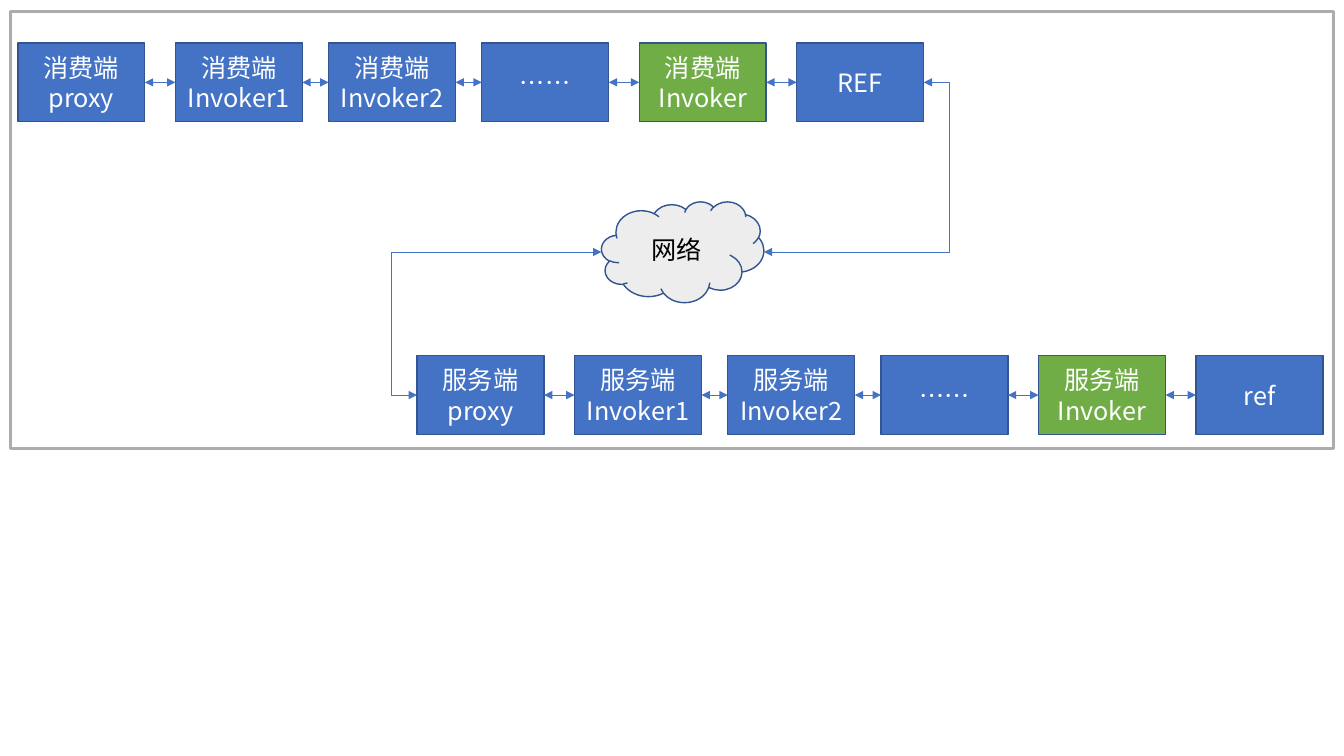
from itertools import pairwise

from lxml import etree
from pptx import Presentation
from pptx import util as u
from pptx.dml.color import RGBColor
from pptx.enum import shapes, text
from pptx.oxml.ns import qn

BLUE = RGBColor(0x44, 0x72, 0xC4)
DARK_BLUE = RGBColor(0x32, 0x54, 0x91)
GREEN = RGBColor(0x70, 0xAD, 0x47)
PALE_GREY = RGBColor(0xED, 0xED, 0xED)
FRAME_GREY = RGBColor(0xAF, 0xAB, 0xAB)
WHITE = RGBColor(0xFF, 0xFF, 0xFF)
BLACK = RGBColor(0x00, 0x00, 0x00)
FONT = "Noto Sans CJK SC"

BOX_WIDTH, BOX_HEIGHT = u.Cm(3.2), u.Cm(1.99)
BOX_GAPS = [u.Cm(gap) for gap in (0.77, 0.66, 0.66, 0.77, 0.77, 0)]
ELBOW_REACH = u.Cm(0.64)
LEFT_SITE, RIGHT_SITE = 1, 3


def write_text(shape, wording, size=18, color=WHITE, font=FONT):
    frame = shape.text_frame
    frame.word_wrap = True
    frame.vertical_anchor = text.MSO_ANCHOR.MIDDLE
    paragraph = frame.paragraphs[0]
    paragraph.alignment = text.PP_ALIGN.CENTER
    run = paragraph.add_run()
    run.text = wording
    run.font.size = u.Pt(size)
    run.font.color.rgb = color
    run.font.name = font
    east_asian = etree.SubElement(run.font._element, qn("a:ea"))
    east_asian.set("typeface", font)


def add_block(slide, kind, left, top, width, height, fill=None, line=DARK_BLUE, line_width=1):
    shape = slide.shapes.add_shape(kind, left, top, width, height)
    shape.shadow.inherit = False
    if fill is None:
        shape.fill.background()
    else:
        shape.fill.solid()
        shape.fill.fore_color.rgb = fill
    shape.line.color.rgb = line
    shape.line.width = u.Pt(line_width)
    return shape


def add_arrow(slide, kind, start, end):
    """Draw a thin connector with a triangle at both ends."""
    arrow = slide.shapes.add_connector(kind, *start, *end)
    arrow.line.color.rgb = BLUE
    arrow.line.width = u.Pt(0.5)
    for tag in ("a:headEnd", "a:tailEnd"):
        etree.SubElement(arrow.line._get_or_add_ln(), qn(tag)).set("type", "triangle")
    etree.SubElement(arrow._element.spPr, qn("a:effectLst"))
    return arrow


def add_elbow(slide, start, end, bend):
    """Draw an elbow arrow whose upright part stands at the x position bend."""
    arrow = add_arrow(slide, shapes.MSO_CONNECTOR.ELBOW, start, end)
    ratio = (bend - start[0]) / (end[0] - start[0])
    geometry = arrow._element.spPr.find(qn("a:prstGeom"))
    adjustments = geometry.find(qn("a:avLst"))
    if adjustments is None:
        adjustments = etree.SubElement(geometry, qn("a:avLst"))
    guide = etree.SubElement(adjustments, qn("a:gd"))
    guide.set("name", "adj1")
    guide.set("fmla", f"val {round(ratio * 100000)}")


def add_chain(slide, left, top, side, reference):
    """Draw one row of linked boxes and return its first and last box."""
    labels = [f"{side}proxy", f"{side}Invoker1", f"{side}Invoker2", "……",
              f"{side}Invoker", reference]
    boxes = []
    for label, gap in zip(labels, BOX_GAPS):
        fill = GREEN if label.endswith("Invoker") else BLUE
        box = add_block(slide, shapes.MSO_SHAPE.RECTANGLE, left, top,
                        BOX_WIDTH, BOX_HEIGHT, fill=fill)
        write_text(box, label)
        boxes.append(box)
        left += BOX_WIDTH + gap
    for before, after in pairwise(boxes):
        arrow = add_arrow(slide, shapes.MSO_CONNECTOR.STRAIGHT,
                          right_middle(before), left_middle(after))
        arrow.begin_connect(before, RIGHT_SITE)
        arrow.end_connect(after, LEFT_SITE)
    return boxes[0], boxes[-1]


def add_network(slide, left, top, width, height):
    cloud = add_block(slide, shapes.MSO_SHAPE.CLOUD, left, top, width, height, fill=PALE_GREY)
    write_text(cloud, "网络", color=BLACK)
    return cloud


def left_middle(shape):
    return shape.left, shape.top + shape.height // 2


def right_middle(shape):
    return shape.left + shape.width, shape.top + shape.height // 2


def add_call_diagram(slide, left, top, width, height):
    add_block(slide, shapes.MSO_SHAPE.RECTANGLE, left, top, width, height,
              line=FRAME_GREY, line_width=2.25)
    _, consumer_end = add_chain(slide, left + u.Cm(0.19), top + u.Cm(0.8), "消费端", "REF")
    provider_start, _ = add_chain(slide, left + u.Cm(10.25), top + u.Cm(8.68), "服务端", "ref")
    cloud = add_network(slide, left + u.Cm(14.9), top + u.Cm(4.8), u.Cm(4.09), u.Cm(2.54))
    add_elbow(slide, right_middle(consumer_end), right_middle(cloud),
              right_middle(consumer_end)[0] + ELBOW_REACH)
    add_elbow(slide, left_middle(cloud), left_middle(provider_start),
              provider_start.left - ELBOW_REACH)


def main():
    presentation = Presentation()
    presentation.slide_width = u.Cm(33.87)
    presentation.slide_height = u.Cm(19.05)
    slide = presentation.slides.add_slide(presentation.slide_layouts[6])
    add_call_diagram(slide, u.Cm(0.26), u.Cm(0.28), u.Cm(33.35), u.Cm(11.03))
    presentation.save("out.pptx")


if __name__ == "__main__":
    main()
